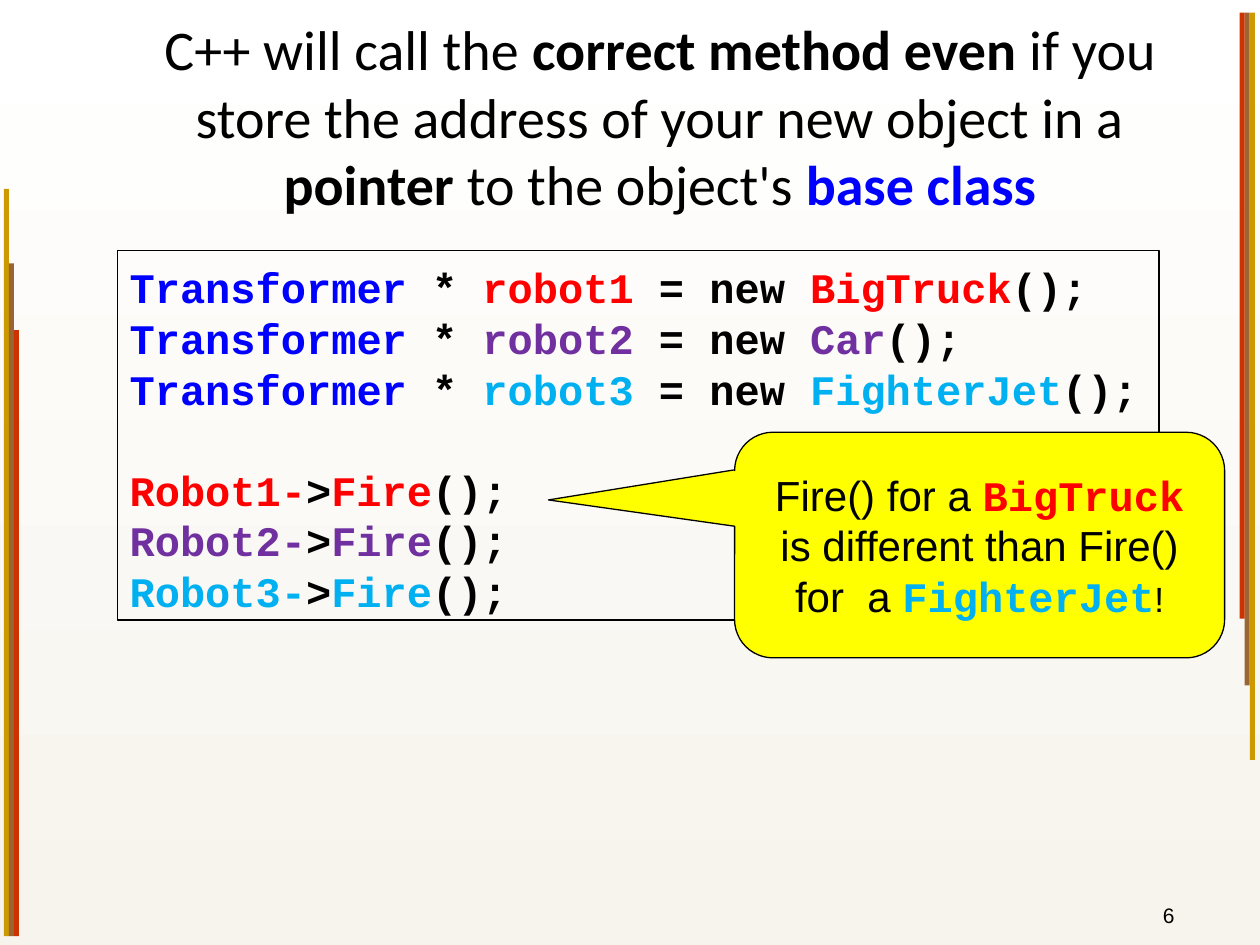
from pptx import Presentation
from pptx.dml.color import RGBColor
from pptx.enum.shapes import MSO_SHAPE as SHAPE
from pptx.enum.text import MSO_ANCHOR as ANCHOR, PP_ALIGN as ALIGN
from pptx.util import Pt

COLORS = {
    "black": "000000", "blue": "0000FF", "red": "FF0000", "purple": "7030A0",
    "cyan": "00B0F0", "yellow": "FFFF00", "gold": "CC9900", "brown": "996633",
    "rust": "CC3300", "white": "FFFFFF", "cream": "F7F4ED",
}
CODE, BODY, HEAD = "Courier New", "Arial", "Calibri"
LINE = Pt(28.9)
ROBOTS = [("1", "BigTruck", "red"), ("2", "Car", "purple"), ("3", "FighterJet", "cyan")]
BARS = [("gold", 427), ("brown", 384.5), ("rust", 346.3)]
BAR_WIDTH = 2.9


def rgb(name):
    return RGBColor.from_string(COLORS[name])


def add_runs(p, runs, font, size, bold=False):
    """Each run is (text, colour) plus an optional dict of font settings."""
    for text, color, *extra in runs:
        style = {"name": font, "size": size, "bold": bold}
        style.update(*extra)
        r = p.add_run()
        r.text = text
        r.font.name = style["name"]
        r.font.size = Pt(style["size"])
        r.font.bold = style["bold"]
        r.font.color.rgb = rgb(color)


def add_box(slide, kind, box, fill=None, line=None):
    sp = slide.shapes.add_shape(kind, *map(Pt, box))
    sp.shadow.inherit = False
    if fill:
        sp.fill.solid()
        sp.fill.fore_color.rgb = rgb(fill)
    else:
        sp.fill.background()
    if line:
        sp.line.color.rgb = rgb(line)
        sp.line.width = Pt(0.75)
    else:
        sp.line.fill.background()
    return sp


def set_background(slide):
    fill = slide.background.fill
    fill.gradient()
    fill.gradient_angle = 270
    for stop, color in zip(fill.gradient_stops, ("white", "cream")):
        stop.color.rgb = rgb(color)


def add_side_bars(slide):
    """Left bars share a bottom edge; right bars mirror them from the top."""
    for i, (color, height) in enumerate(BARS):
        offset = i * BAR_WIDTH
        for left, top in ((2.2 + offset, 535 - height), (714.2 - offset, 7.2)):
            add_box(slide, SHAPE.RECTANGLE, (left, top, BAR_WIDTH, height), color)


def set_title(slide):
    title = slide.shapes.title
    title.left, title.top, title.width, title.height = map(Pt, (84.2, 12.2, 586, 108))
    tf = title.text_frame
    tf.vertical_anchor = ANCHOR.MIDDLE
    p = tf.paragraphs[0]
    p.alignment = ALIGN.CENTER
    bold = {"bold": True}
    add_runs(p, [
        ("C++ will call the ", "black"),
        ("correct method even ", "black", bold),
        ("if you store the address of your new object in a ", "black"),
        ("pointer", "black", bold),
        (" to the object's ", "black"),
        ("base class", "blue", bold),
    ], HEAD, 32)


def add_code(slide):
    sp = add_box(slide, SHAPE.RECTANGLE, (67, 143.3, 595.4, 211), line="black")
    tf = sp.text_frame
    tf.word_wrap = False
    tf.vertical_anchor = ANCHOR.TOP
    tf.margin_top = Pt(6.3)
    declarations = [
        [("Transformer ", "blue"), ("* ", "black"), (f"robot{n} ", color),
         ("= new ", "black"), (kind, color), ("();", "black")]
        for n, kind, color in ROBOTS]
    calls = [
        [(f"Robot{n}-", color), (">", "black"), ("Fire", color), ("();", "black")]
        for n, _, color in ROBOTS]
    for i, runs in enumerate(declarations + calls):
        p = tf.add_paragraph() if i else tf.paragraphs[0]
        p.alignment = ALIGN.LEFT
        p.line_spacing = LINE
        if i == len(declarations):
            p.space_before = LINE
        add_runs(p, runs, CODE, 24, bold=True)


def add_callout(slide):
    sp = add_box(slide, SHAPE.ROUNDED_RECTANGULAR_CALLOUT,
                 (419.8, 247, 280, 128.9), "yellow", "black")
    for i, value in enumerate((-0.88, -0.2, 0.17)):
        sp.adjustments[i] = value
    tf = sp.text_frame
    tf.word_wrap = True
    tf.vertical_anchor = ANCHOR.MIDDLE
    p = tf.paragraphs[0]
    p.alignment = ALIGN.CENTER
    p.line_spacing = LINE
    code = {"name": CODE, "bold": True}
    add_runs(p, [
        ("Fire() for a ", "black"),
        ("BigTruck ", "red", code),
        ("is different than Fire() for  a ", "black"),
        ("FighterJet", "cyan", code),
        ("!", "black", {"size": 20}),
    ], BODY, 24)


def add_page_number(slide):
    tf = slide.shapes.add_textbox(Pt(630), Pt(509.8), Pt(48.2), Pt(23.8)).text_frame
    tf.word_wrap = True
    tf.vertical_anchor = ANCHOR.BOTTOM
    p = tf.paragraphs[0]
    p.alignment = ALIGN.RIGHT
    add_runs(p, [("6", "black")], BODY, 12)


def main():
    prs = Presentation()
    prs.slide_width, prs.slide_height = Pt(720), Pt(540)
    slide = prs.slides.add_slide(prs.slide_layouts.get_by_name("Title Only"))
    set_background(slide)
    add_side_bars(slide)
    add_page_number(slide)
    add_code(slide)
    set_title(slide)
    add_callout(slide)
    prs.save("out.pptx")


if __name__ == "__main__":
    main()
